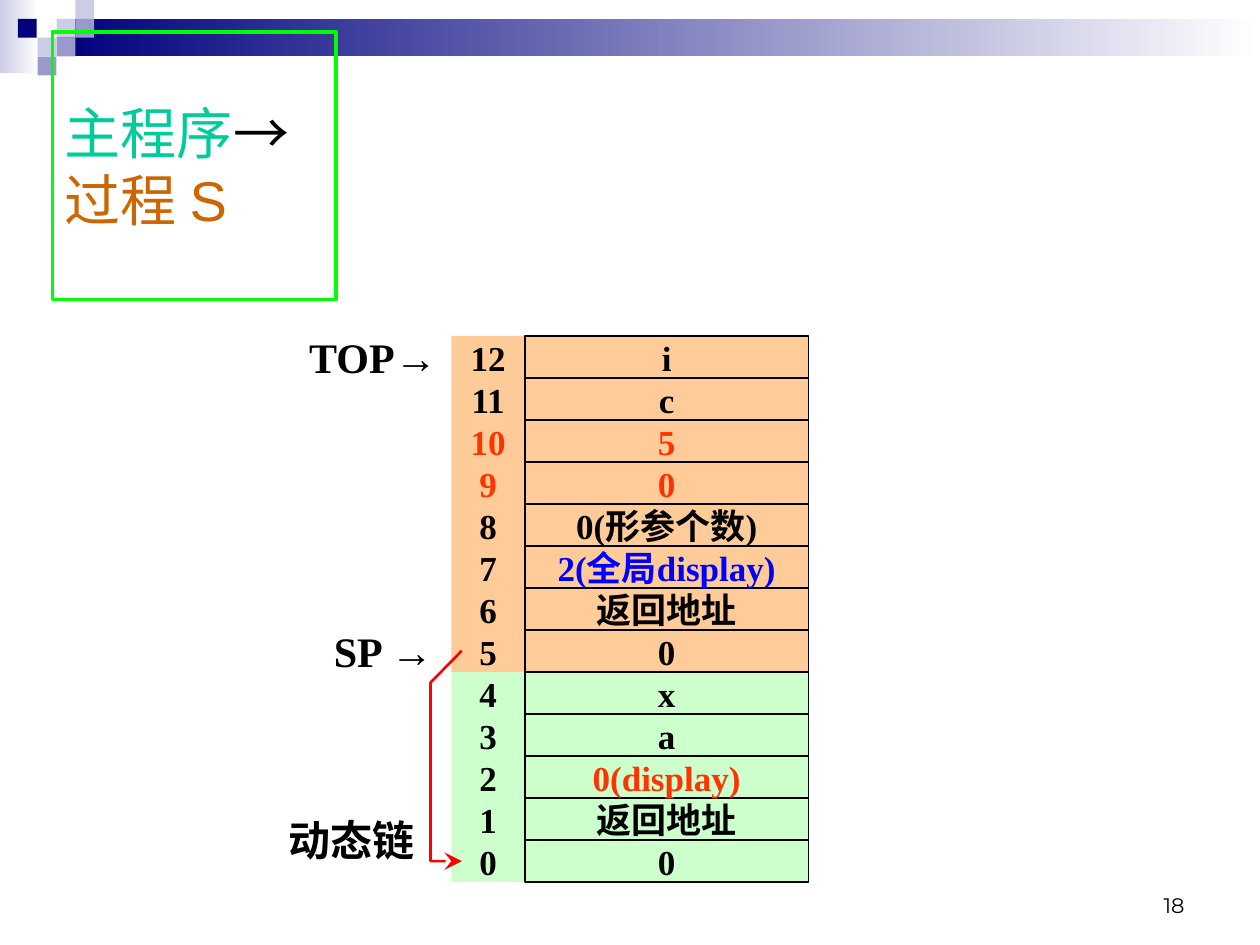
from dataclasses import dataclass
from typing import NamedTuple

from lxml import etree
from pptx import Presentation, util as u
from pptx.dml.color import RGBColor
from pptx.enum import shapes, text
from pptx.oxml.ns import qn


@dataclass(frozen=True)
class Theme:
    navy: str = "00007D"
    lilac: str = "CCCCE6"
    violet: str = "9999CC"
    white: str = "FFFFFF"
    black: str = "000000"
    teal: str = "00CC99"
    brown: str = "CC6600"
    frame: str = "00FF00"
    main_area: str = "CCFFCC"
    proc_area: str = "FFCC99"
    alert: str = "FF3300"
    blue: str = "0000FF"
    link: str = "FF0000"
    sans: str = "Arial"
    serif: str = "Times New Roman"
    number_font: str = "Montserrat"
    title_size: int = 32
    label_size: int = 24
    cell_size: int = 20
    number_size: int = 12


T = Theme()


class Box(NamedTuple):
    left: float
    top: float
    width: float
    height: float

    def emu(self):
        return [u.Cm(v) for v in self]


class Run(NamedTuple):
    words: str
    font: str = T.serif
    ink: str = T.black


class Slot(NamedTuple):
    value: str
    ink: str = T.black
    index_ink: str = T.black


class Label(NamedTuple):
    box: Box
    runs: list[Run]


ROW = 2.54 / 3
STACK_BOTTOM = 17.78
INDEX_LEFT, INDEX_WIDTH = 9.1, 1.48
VALUE_LEFT, VALUE_WIDTH = 10.58, 5.72
MAIN_SLOTS = 5
SLOTS = [
    Slot("0"),
    Slot("返回地址"),
    Slot("0(display)", T.alert),
    Slot("a"),
    Slot("x"),
    Slot("0"),
    Slot("返回地址"),
    Slot("2(全局display)", T.blue),
    Slot("0(形参个数)"),
    Slot("0", T.alert, T.alert),
    Slot("5", T.alert, T.alert),
    Slot("c"),
    Slot("i"),
]

TILE = 0.38
TILES = [
    (1.14, 0.38, T.lilac),
    (1.52, 0, T.lilac),
    (1.52, 0.38, T.violet),
    (0.76, 0.76, T.lilac),
    (0.36, 0.38, T.navy),
    (1.14, 0.76, T.violet),
    (0.76, 1.14, T.violet),
]

LABELS = [
    Label(Box(5.72, 6.77, 3.6, ROW), [Run("TOP"), Run("→", T.sans)]),
    Label(Box(5.93, 12.7, 3.6, ROW), [Run("SP "), Run("→", T.sans)]),
    Label(Box(5.29, 16.51, 3.6, ROW), [Run("动态链")]),
]


def rgb(value: str) -> RGBColor:
    return RGBColor.from_string(value)


def add_rect(s, box: Box, fill: str | None = None, line: str | None = None,
             width: float = 1, fade: bool = False):
    sp = s.shapes.add_shape(shapes.MSO_SHAPE.RECTANGLE, *box.emu())
    sp.shadow.inherit = False
    if fade:
        sp.fill.gradient()
        sp.fill.gradient_angle = 0
        for stop, color in zip(sp.fill.gradient_stops, (fill, T.white)):
            stop.color.rgb = rgb(color)
    elif fill:
        sp.fill.solid()
        sp.fill.fore_color.rgb = rgb(fill)
    else:
        sp.fill.background()
    if line:
        sp.line.color.rgb = rgb(line)
        sp.line.width = u.Pt(width)
    else:
        sp.line.fill.background()
    return sp


def write(sp, runs: list[Run], size: int, bold: bool = False, wrap: bool = False,
          align=text.PP_ALIGN.CENTER, anchor=text.MSO_ANCHOR.MIDDLE,
          pad: float = 0.13) -> None:
    tf = sp.text_frame
    tf.word_wrap = wrap
    tf.vertical_anchor = anchor
    tf.margin_left = tf.margin_right = u.Cm(0.25)
    tf.margin_top = tf.margin_bottom = u.Cm(pad)
    p = tf.paragraphs[0]
    p.alignment = align
    p.font.size = u.Pt(size)
    p.font.bold = bold
    same_font = len({run.font for run in runs}) == 1
    same_ink = len({run.ink for run in runs}) == 1
    if same_font:
        p.font.name = runs[0].font
    if same_ink:
        p.font.color.rgb = rgb(runs[0].ink)
    for run in runs:
        r = p.add_run()
        r.text = run.words
        if not same_font:
            r.font.name = run.font
        if not same_ink:
            r.font.color.rgb = rgb(run.ink)


def add_banner(s) -> None:
    add_rect(s, Box(0, 0, 0.79, 1.47), T.lilac, fade=True)
    add_rect(s, Box(1.14, 0.38, 24.26, 0.76), T.navy, fade=True)
    for left, top, color in TILES:
        add_rect(s, Box(left, top, TILE, TILE), color)


def add_stack(s) -> None:
    for i, slot in enumerate(SLOTS):
        top = STACK_BOTTOM - (i + 1) * ROW
        area = T.main_area if i < MAIN_SLOTS else T.proc_area
        index = add_rect(s, Box(INDEX_LEFT, top, INDEX_WIDTH, ROW), area)
        write(index, [Run(str(i), ink=slot.index_ink)], T.cell_size, True, pad=0)
        value = add_rect(s, Box(VALUE_LEFT, top, VALUE_WIDTH, ROW), area, T.black)
        write(value, [Run(slot.value, ink=slot.ink)], T.cell_size, True, pad=0)


def add_link(s, points: list[tuple[float, float]]) -> None:
    start, *rest = [(u.Cm(x), u.Cm(y)) for x, y in points]
    builder = s.shapes.build_freeform(*start)
    builder.add_line_segments(rest, close=False)
    sp = builder.convert_to_shape()
    sp.shadow.inherit = False
    sp.fill.background()
    sp.line.color.rgb = rgb(T.link)
    sp.line.width = u.Pt(1.5)
    ln = sp.line._get_or_add_ln()
    etree.SubElement(ln, qn("a:tailEnd"), type="stealth", w="lg", len="lg")


def main() -> None:
    prs = Presentation()
    prs.slide_width, prs.slide_height = u.Cm(25.4), u.Cm(19.05)
    s = prs.slides.add_slide(prs.slide_layouts[6])
    add_banner(s)
    number = s.shapes.add_textbox(*Box(18.2, 17.36, 5.93, 1.27).emu())
    write(number, [Run("18", T.number_font)], T.number_size, wrap=True,
          align=text.PP_ALIGN.RIGHT, anchor=text.MSO_ANCHOR.BOTTOM)
    title = add_rect(s, Box(1.06, 0.64, 5.72, 5.4), line=T.frame, width=2.25)
    write(title, [Run("主程序", T.sans, T.teal), Run("→", T.sans),
                  Run("过程 S", T.sans, T.brown)],
          T.title_size, wrap=True, align=text.PP_ALIGN.LEFT)
    for label in LABELS:
        write(s.shapes.add_textbox(*label.box.emu()), label.runs, T.label_size, True)
    add_stack(s)
    add_link(s, [(9.31, 13.12), (8.68, 13.76), (8.68, 17.36), (9.31, 17.36)])
    prs.save("out.pptx")


if __name__ == "__main__":
    main()
